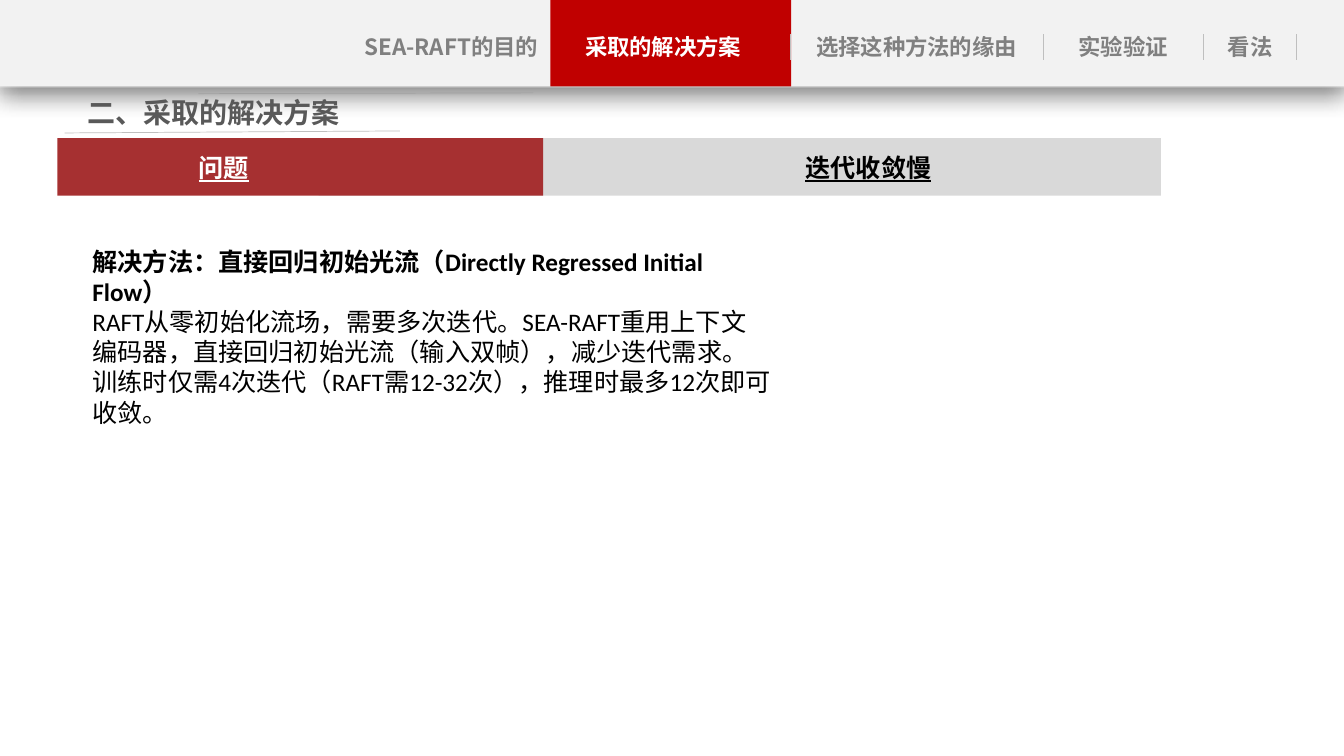
"""Build the SEA-RAFT slide on slow iterative convergence."""
from dataclasses import dataclass

from lxml.etree import SubElement
from pptx import Presentation
from pptx.dml.color import RGBColor
from pptx.enum.shapes import MSO_CONNECTOR, MSO_SHAPE
from pptx.enum.text import MSO_AUTO_SIZE, PP_ALIGN
from pptx.oxml.ns import qn
from pptx.slide import Slide
from pptx.util import Cm, Pt

WHITE = RGBColor(0xFF, 0xFF, 0xFF)
BLACK = RGBColor(0x00, 0x00, 0x00)
BAR_GRAY = RGBColor(0xF2, 0xF2, 0xF2)
BAND_GRAY = RGBColor(0xD9, 0xD9, 0xD9)
LINE_GRAY = RGBColor(0xBF, 0xBF, 0xBF)
TAB_GRAY = RGBColor(0x80, 0x80, 0x80)
HEADING_GRAY = RGBColor(0x59, 0x59, 0x59)
TAB_RED = RGBColor(0xC0, 0x00, 0x00)
BAND_RED = RGBColor(0xA6, 0x30, 0x31)

CHINESE_FONT = "Noto Sans CJK SC"
SLIDE_WIDTH = 33.87
BAR_HEIGHT = 2.21
BAR_TOP = -0.03
BAND_TOP = 3.48
BAND_HEIGHT = 1.45


@dataclass(frozen=True)
class Box:
    left: float
    top: float
    width: float
    height: float


@dataclass(frozen=True)
class Block:
    box: Box
    color: RGBColor
    shadowed: bool = False


@dataclass(frozen=True)
class Line:
    start: tuple[float, float]
    end: tuple[float, float]


@dataclass(frozen=True)
class Passage:
    text: str
    bold: bool = True


@dataclass(frozen=True)
class Label:
    box: Box
    passages: tuple[Passage, ...]
    size: int
    color: RGBColor
    font: str = CHINESE_FONT
    centered: bool = True
    underlined: bool = False
    side_margin: float = 0.25


def tab_label(text: str, left: float, width: float, color: RGBColor = TAB_GRAY) -> Label:
    """Describe one entry of the navigation bar."""
    return Label(Box(left, 0.71, width, 0.97), (Passage(text),), 16, color, side_margin=0)


def band_label(text: str, left: float, color: RGBColor) -> Label:
    """Describe one caption of the problem band."""
    return Label(Box(left, 3.71, 8.15, 1.02), (Passage(text),), 18, color, underlined=True)


BACK_BAR = Block(Box(0, 0, SLIDE_WIDTH, BAR_HEIGHT), BAR_GRAY, shadowed=True)
FRONT_BAR = Block(Box(0, BAR_TOP, SLIDE_WIDTH, BAR_HEIGHT), BAR_GRAY, shadowed=True)
ACTIVE_TAB = Block(Box(13.87, BAR_TOP, 6.07, BAR_HEIGHT), TAB_RED)
BANDS = (
    Block(Box(8.03, BAND_TOP, 21.23, BAND_HEIGHT), BAND_GRAY),
    Block(Box(1.45, BAND_TOP, 12.24, BAND_HEIGHT), BAND_RED),
)
UPPER_RULE = Line((5, 2.36), (13.44, 2.34))
HEADING_RULE = Line((1.63, 3.35), (10.08, 3.3))
TAB_DIVIDERS = tuple(Line((x, 0.86), (x, 1.52)) for x in (19.91, 26.29, 30.33, 32.66))
TAB_LABELS = (
    tab_label("SEA-RAFT的目的", 9.07, 4.62),
    tab_label("采取的解决方案", 14.63, 4.17, WHITE),
    tab_label("选择这种方法的缘由", 20.47, 5.26),
    tab_label("实验验证", 26.75, 3.12),
    tab_label("看法", 30.53, 1.96),
)
SOLUTION = Label(
    Box(2.08, 6.07, 17.6, 4.88),
    (
        Passage("解决方法：直接回归初始光流（Directly Regressed Initial Flow）"),
        Passage(
            "RAFT从零初始化流场，需要多次迭代。SEA-RAFT重用上下文编码器，"
            "直接回归初始光流（输入双帧），减少迭代需求。"
            "训练时仅需4次迭代（RAFT需12-32次），推理时最多12次即可收敛。",
            bold=False,
        ),
    ),
    18, BLACK, font="Calibri", centered=False,
)
HEADING = Label(
    Box(2.21, 2.29, 8.86, 1.12), (Passage("二、采取的解决方案"),),
    20, HEADING_GRAY, centered=False, side_margin=0,
)
BAND_LABELS = (
    band_label("问题", 1.57, WHITE),
    band_label("迭代收敛慢", 17.81, BLACK),
)


def place(box: Box) -> tuple[Cm, Cm, Cm, Cm]:
    """Turn a box into slide lengths."""
    return Cm(box.left), Cm(box.top), Cm(box.width), Cm(box.height)


def draw_block(slide: Slide, block: Block) -> None:
    """Draw a filled rectangle, with a soft shadow below if asked."""
    shape = slide.shapes.add_shape(MSO_SHAPE.RECTANGLE, *place(block.box))
    shape.fill.solid()
    shape.fill.fore_color.rgb = block.color
    shape.line.fill.background()
    shape.shadow.inherit = False
    if block.shadowed:
        effects = shape._element.spPr.find(qn("a:effectLst"))
        shadow = SubElement(
            effects, qn("a:outerShdw"), blurRad=str(Pt(18)), dist=str(Pt(4)),
            dir="5400000", algn="t", rotWithShape="0",
        )
        shade = SubElement(shadow, qn("a:srgbClr"), val=str(BLACK))
        SubElement(shade, qn("a:alpha"), val="29000")


def draw_line(slide: Slide, line: Line) -> None:
    """Draw a thin gray line."""
    ends = [Cm(length) for length in (*line.start, *line.end)]
    connector = slide.shapes.add_connector(MSO_CONNECTOR.STRAIGHT, *ends)
    connector.line.color.rgb = LINE_GRAY
    connector.line.width = Pt(0.5)
    SubElement(connector._element.spPr, qn("a:effectLst"))


def draw_label(slide: Slide, label: Label) -> None:
    """Draw a text box with one paragraph for each passage."""
    frame = slide.shapes.add_textbox(*place(label.box)).text_frame
    frame.word_wrap = True
    frame.auto_size = MSO_AUTO_SIZE.SHAPE_TO_FIT_TEXT
    frame.margin_left = frame.margin_right = Cm(label.side_margin)
    for index, passage in enumerate(label.passages):
        paragraph = frame.add_paragraph() if index else frame.paragraphs[0]
        paragraph.text = passage.text
        paragraph.alignment = PP_ALIGN.CENTER if label.centered else PP_ALIGN.LEFT
        font = paragraph.font
        font.name = label.font
        font.size = Pt(label.size)
        font.bold = passage.bold
        font.underline = label.underlined
        font.color.rgb = label.color
        properties = paragraph._p.pPr.find(qn("a:defRPr"))
        SubElement(properties, qn("a:ea"), typeface=CHINESE_FONT)


def main() -> None:
    """Draw the slide from back to front and save it."""
    presentation = Presentation()
    presentation.slide_width = Cm(SLIDE_WIDTH)
    presentation.slide_height = Cm(19.05)
    slide = presentation.slides.add_slide(presentation.slide_layouts[6])
    draw_block(slide, BACK_BAR)
    draw_line(slide, UPPER_RULE)
    for block in (FRONT_BAR, ACTIVE_TAB):
        draw_block(slide, block)
    for line in (*TAB_DIVIDERS, HEADING_RULE):
        draw_line(slide, line)
    for block in BANDS:
        draw_block(slide, block)
    for label in (*TAB_LABELS, SOLUTION, HEADING, *BAND_LABELS):
        draw_label(slide, label)
    presentation.save("out.pptx")


if __name__ == "__main__":
    main()
